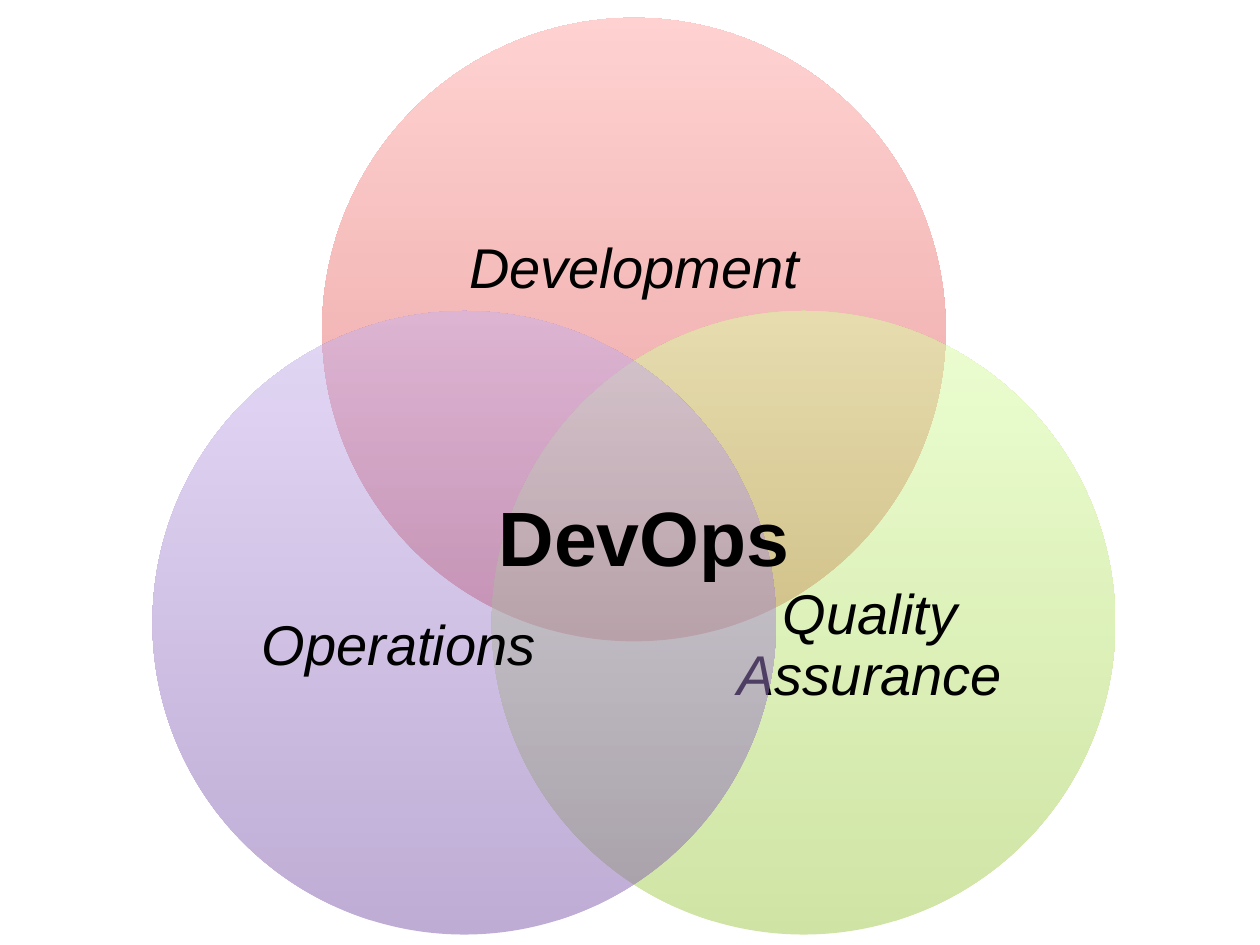
"""Build a three-circle Venn diagram of DevOps."""
from lxml.etree import SubElement
from pptx import Presentation
from pptx.dml.color import RGBColor
from pptx.enum.shapes import MSO_SHAPE
from pptx.enum.text import MSO_ANCHOR, PP_ALIGN
from pptx.oxml.ns import qn
from pptx.util import Cm, Pt

COLORS = {
    "red": ("D1403C", "FFA6A5"),
    "green": ("A0CA4A", "DAFFA5"),
    "purple": ("7F5BAB", "C8B0ED"),
    "text": "000000",
}
DIAMETER = 12.57
CENTER_X = 12.78
SIDE_SHIFT = 3.42
UPPER_TOP, LOWER_TOP = 0.36, 6.27
CIRCLES = [
    ("Development", "red", 0, UPPER_TOP, (8.18, 2.59, 9.22, 5.72)),
    ("Quality Assurance", "green", SIDE_SHIFT, LOWER_TOP, (13.77, 9.55, 7.54, 6.99)),
    ("Operations", "purple", -SIDE_SHIFT, LOWER_TOP, (4.27, 9.55, 7.54, 6.99)),
]
CORE = ("DevOps", (9.8, 9.75, 7.09, 2.13))


def add_circle(s, shift, top, color):
    left = CENTER_X + shift - DIAMETER / 2
    sp = s.shapes.add_shape(
        MSO_SHAPE.OVAL, Cm(left), Cm(top), Cm(DIAMETER), Cm(DIAMETER))
    sp.shadow.inherit = False
    sp.line.fill.background()
    sp.fill.gradient()
    sp.fill.gradient_angle = 90
    for stop, position, value in zip(sp.fill.gradient_stops, (0, 1), COLORS[color]):
        stop.position = position
        stop.color.rgb = RGBColor.from_string(value)
    for clr in sp.element.spPr.iter(qn("a:srgbClr")):
        SubElement(clr, qn("a:alpha"), val="50000")


def add_text(s, text, box, size):
    tf = s.shapes.add_textbox(*map(Cm, box)).text_frame
    tf.word_wrap = True
    p = tf.paragraphs[0]
    p.text = text
    p.font.name = "Arial"
    p.font.size = Pt(size)
    p.font.color.rgb = RGBColor.from_string(COLORS["text"])
    return tf, p


def add_label(s, text, box):
    tf, p = add_text(s, text, box, 32)
    tf.margin_left = tf.margin_right = tf.margin_top = tf.margin_bottom = 0
    tf.vertical_anchor = MSO_ANCHOR.MIDDLE
    p.alignment = PP_ALIGN.CENTER
    p.line_spacing = 0.9
    p.font.italic = True


prs = Presentation()
prs.slide_width, prs.slide_height = Cm(25.4), Cm(19.05)
s = prs.slides.add_slide(prs.slide_layouts[6])
for label, color, shift, top, box in CIRCLES:
    add_circle(s, shift, top, color)
    add_label(s, label, box)
tf, p = add_text(s, *CORE, 44)
p.font.bold = True
prs.save("out.pptx")
